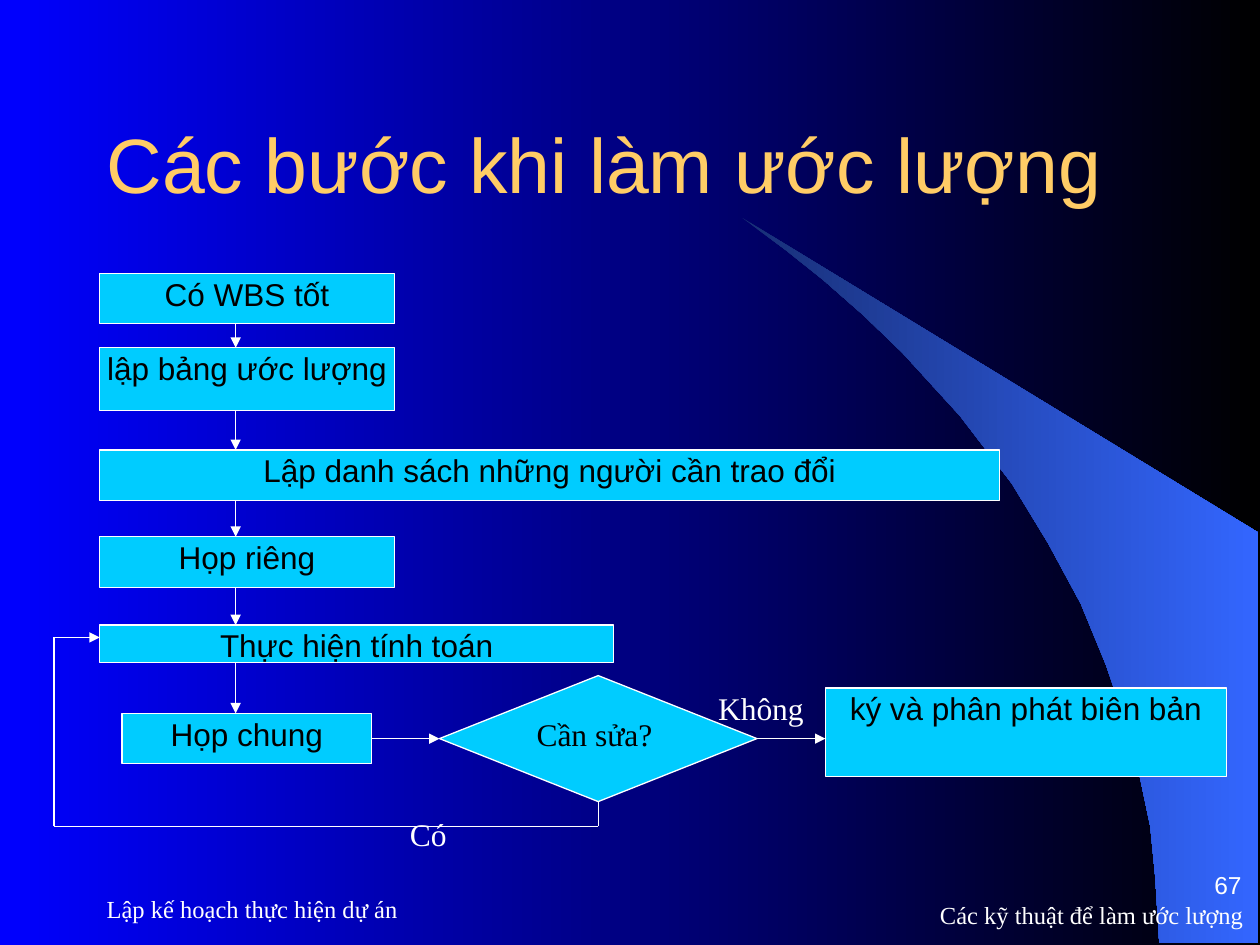
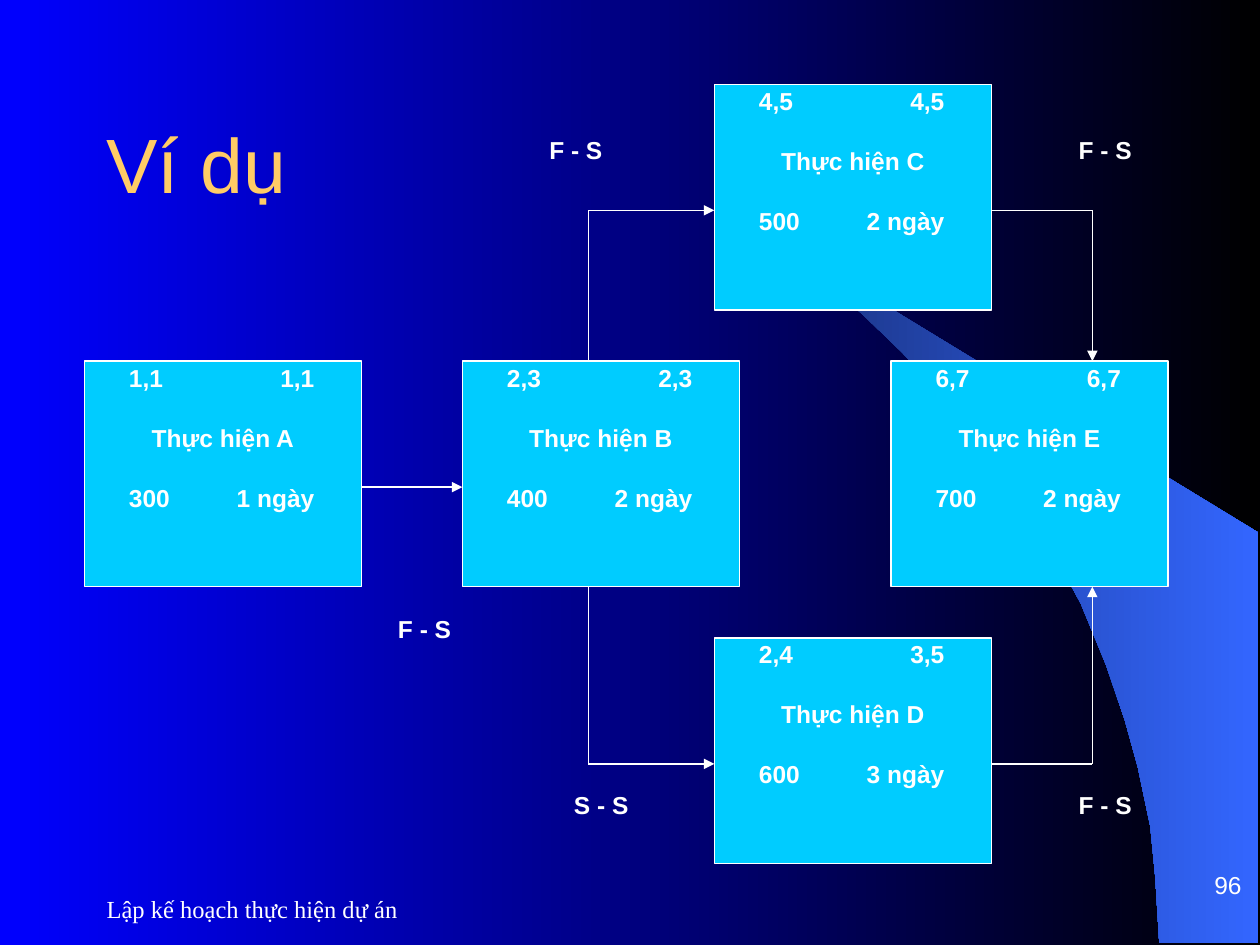
import itertools

import pptx
import pptx.dml.color
import pptx.enum.shapes
import pptx.enum.text
import pptx.oxml
import pptx.oxml.ns
import pptx.util

Cm = pptx.util.Cm
Pt = pptx.util.Pt
ALIGN = pptx.enum.text.PP_ALIGN
ANCHOR = pptx.enum.text.MSO_ANCHOR
PRESET = pptx.enum.shapes.MSO_SHAPE

SANS, SERIF = "Arial", "Times New Roman"
BLUE, NAVY, SKY = "0000FF", "182F76", "3366FF"
BLACK, WHITE, GOLD, CYAN = "000000", "FFFFFF", "FFCC66", "00CCFF"
TIGHT = (0.05, 0.03)
ROOMY = (0.25, 0.13)

SWOOSH = [
    (0, 0), (0.89, 0.66), (1.63, 1.25), (2.44, 1.96), (3.23, 2.72),
    (4.39, 3.99), (5.44, 5.36), (6.17, 6.56), (6.83, 7.78), (7.34, 9.02),
    (7.72, 10.14), (7.98, 11.08), (8.23, 12.27), (8.33, 13.29),
    (8.41, 14.61), (10.41, 14.63), (10.41, 6.35),
]

STEPS = [
    ("Có WBS tốt", 0.92, 0, 5.94, 1.02),
    ("lập bảng ước lượng", 0.92, 1.5, 5.94, 1.27),
    ("Lập danh sách những người cần trao đổi", 0.92, 3.56, 18.14, 1.02),
    ("Họp riêng", 0.92, 5.31, 5.94, 1.02),
    ("Thực hiện tính toán", 0.92, 7.09, 10.36, 0.76),
    ("Họp chung", 1.37, 8.87, 5.03, 1.02),
]

TASKS = [
    ("A", 0, 1, "1,1", "1,1", "300", "1 ngày"),
    ("B", 7.62, 1, "2,3", "2,3", "400", "2 ngày"),
    ("C", 12.7, 0, "4,5", "4,5", "500", "2 ngày"),
    ("D", 12.7, 2, "2,4", "3,5", "600", "3 ngày"),
    ("E", 16.26, 1, "6,7", "6,7", "700", "2 ngày"),
]

LINKS = [
    ("F - S", 5.08, 10.64),
    ("F - S", 8.13, 0.99),
    ("S - S", 8.64, 14.2),
    ("F - S", 18.8, 14.2),
    ("F - S", 18.8, 0.99),
]


def rgb(code):
    """Turn a hex string into a colour."""
    return pptx.dml.color.RGBColor.from_string(code)


def blend(fill, start, end):
    """Give a fill a left-to-right gradient."""
    fill.gradient()
    fill.gradient_angle = 0
    for stop, code, position in zip(fill.gradient_stops, (start, end), (0, 1)):
        stop.color.rgb = rgb(code)
        stop.position = position


def write(holder, text, size, color, font=SANS, bold=False, align=ALIGN.CENTER,
          anchor=ANCHOR.TOP, insets=TIGHT, gap=0, tab=None):
    """Fill a shape with text in one style."""
    frame = holder.text_frame
    frame.text = text
    frame.word_wrap = True
    frame.vertical_anchor = anchor
    frame.margin_left = frame.margin_right = Cm(insets[0])
    frame.margin_top = frame.margin_bottom = Cm(insets[1])
    for index, paragraph in enumerate(frame.paragraphs):
        paragraph.alignment = align
        if index and gap:
            paragraph.space_before = Pt(gap)
        if tab and "\t" in paragraph.text:
            paragraph.alignment = ALIGN.LEFT
            add_right_tab(paragraph, tab)
        for run in paragraph.runs:
            run.font.name = font
            run.font.size = Pt(size)
            run.font.bold = bold
            run.font.color.rgb = rgb(color)


def add_right_tab(paragraph, position):
    """Give a paragraph one right-aligned tab stop."""
    properties = paragraph._p.get_or_add_pPr()
    properties.append(pptx.oxml.parse_xml(
        f'<a:tabLst {pptx.oxml.ns.nsdecls("a")}>'
        f'<a:tab pos="{int(Cm(position))}" algn="r"/></a:tabLst>'))


def add_label(slide, text, left, top, width, height, size, color, **style):
    """Place a text box."""
    label = slide.shapes.add_textbox(Cm(left), Cm(top), Cm(width), Cm(height))
    write(label, text, size, color, **style)


def add_node(slide, left, top, width, height, preset=PRESET.RECTANGLE):
    """Place a cyan shape with a thin white outline."""
    node = slide.shapes.add_shape(preset, Cm(left), Cm(top), Cm(width), Cm(height))
    node.shadow.inherit = False
    node.fill.solid()
    node.fill.fore_color.rgb = rgb(CYAN)
    node.line.color.rgb = rgb(WHITE)
    node.line.width = Pt(0.75)
    return node


def add_route(slide, points, begin=None, end=None):
    """Draw straight legs through the points, with an arrowhead on the last."""
    legs = []
    for start, stop in itertools.pairwise(points):
        leg = slide.shapes.add_connector(
            pptx.enum.shapes.MSO_CONNECTOR.STRAIGHT,
            *(Cm(value) for value in start + stop))
        leg.line.color.rgb = rgb(WHITE)
        leg.line.width = Pt(0.75)
        pptx.oxml.ns.qn("a:effectLst")
        leg._element.spPr.append(
            pptx.oxml.parse_xml(f'<a:effectLst {pptx.oxml.ns.nsdecls("a")}/>'))
        legs.append(leg)
    legs[-1].line._get_or_add_ln().append(pptx.oxml.parse_xml(
        f'<a:tailEnd {pptx.oxml.ns.nsdecls("a")} type="triangle"/>'))
    if begin:
        legs[0].begin_connect(*begin)
    if end:
        legs[-1].end_connect(*end)


def add_swoosh(slide, left, top):
    """Draw the curved blue wedge at the right edge."""
    points = [(Cm(x), Cm(y)) for x, y in SWOOSH]
    builder = slide.shapes.build_freeform(*points[0])
    builder.add_line_segments(points[1:], close=True)
    swoosh = builder.convert_to_shape(Cm(left), Cm(top))
    swoosh.shadow.inherit = False
    swoosh.line.fill.background()
    blend(swoosh.fill, NAVY, SKY)


def add_base_slide(deck, title, number):
    """Start a slide with background, title, footer and number."""
    slide = deck.slides.add_slide(deck.slide_layouts[6])
    blend(slide.background.fill, BLUE, BLACK)
    add_swoosh(slide, 14.96, 4.39)
    add_label(slide, title, 1.9, 1.7, 22.45, 3.18, 44, GOLD,
              align=ALIGN.LEFT, anchor=ANCHOR.MIDDLE, insets=ROOMY)
    add_label(slide, "Lập kế hoạch thực hiện dự án", 1.9, 17.68, 11.86, 1.27,
              14, WHITE, font=SERIF, align=ALIGN.LEFT, anchor=ANCHOR.MIDDLE,
              insets=ROOMY)
    add_label(slide, number, 20, 17.07, 5.28, 1.07, 14, WHITE,
              align=ALIGN.RIGHT, anchor=ANCHOR.BOTTOM, insets=(0.25, 0))
    return slide


def add_estimate_flow(slide, left, top):
    """Draw the estimating steps, the decision and its loop back."""
    def at(x, y):
        return left + x, top + y

    spine, axis, loop_y, retry_y = 3.66, 9.38, 11.15, 7.34
    for text, x, y, width, height in STEPS:
        step = add_node(slide, *at(x, y), width, height)
        write(step, text, 18, BLACK)
    for upper, lower in itertools.pairwise(STEPS):
        add_route(slide, [at(spine, upper[2] + upper[4]), at(spine, lower[2])])

    decision = add_node(slide, *at(7.77, axis - 1.27), 6.4, 2.54,
                        PRESET.FLOWCHART_DECISION)
    add_label(slide, "Cần sửa?", *at(8.99, 8.87), 3.81, 1.02, 18, BLACK, font=SERIF)
    signing = add_node(slide, *at(15.55, 8.36), 8.08, 1.78)
    write(signing, "ký và phân phát biên bản", 18, BLACK)

    add_route(slide, [at(6.4, axis), at(7.77, axis)], (step, 3), (decision, 1))
    add_route(slide, [at(14.17, axis), at(15.55, axis)], (decision, 3))
    add_route(slide, [at(10.97, axis + 1.27), at(10.97, loop_y), at(0, loop_y),
                      at(0, retry_y), at(0.92, retry_y)], (decision, 2))
    add_label(slide, "Không", *at(13.26, 8.36), 1.98, 0.58, 18, WHITE, font=SERIF)
    add_label(slide, "Có", *at(6.86, 10.9), 1.37, 0.58, 18, WHITE, font=SERIF)


def add_task_network(slide, left, top):
    """Draw the task cards and the dependencies between them."""
    def at(x, y):
        return left + x, top + y

    width, height, pitch, port = 5.59, 4.55, 5.58, 2.54
    columns = {}
    for name, x, row, start, finish, cost, duration in TASKS:
        columns[name] = x
        card = add_node(slide, *at(x, row * pitch), width, height)
        write(card, f"{start}\t{finish}\nThực hiện {name}\n{cost}\t{duration}",
              14, WHITE, bold=True, insets=(0.9, 0.03), gap=17.5, tab=3.74)

    branch, merge = columns["B"] + port, columns["E"] + 4.06
    middle_top, middle_bottom = pitch, pitch + height
    add_route(slide, [at(width, pitch + port), at(columns["B"], pitch + port)])
    for name, row, edge in (("C", 0, middle_top), ("D", 2, middle_bottom)):
        level = row * pitch + port
        add_route(slide, [at(branch, edge), at(branch, level),
                          at(columns[name], level)])
        add_route(slide, [at(columns[name] + width, level), at(merge, level),
                          at(merge, edge)])
    for text, x, y in LINKS:
        add_label(slide, text, *at(x, y), 3.56, 1.02, 14, WHITE, bold=True)


def main():
    """Build and save both slides."""
    deck = pptx.Presentation()
    deck.slide_width, deck.slide_height = Cm(25.4), Cm(19.05)

    steps_slide = add_base_slide(deck, "Các bước khi làm ước lượng", "67")
    add_label(steps_slide, "Các kỹ thuật để làm ước lượng", 18, 17.91, 7.32, 1.07,
              14, WHITE, font=SERIF, align=ALIGN.RIGHT, anchor=ANCHOR.MIDDLE,
              insets=ROOMY)
    add_estimate_flow(steps_slide, 1.09, 5.51)

    example_slide = add_base_slide(deck, "Ví dụ", "96")
    add_task_network(example_slide, 1.7, 1.7)
    deck.save("out.pptx")


if __name__ == "__main__":
    main()
